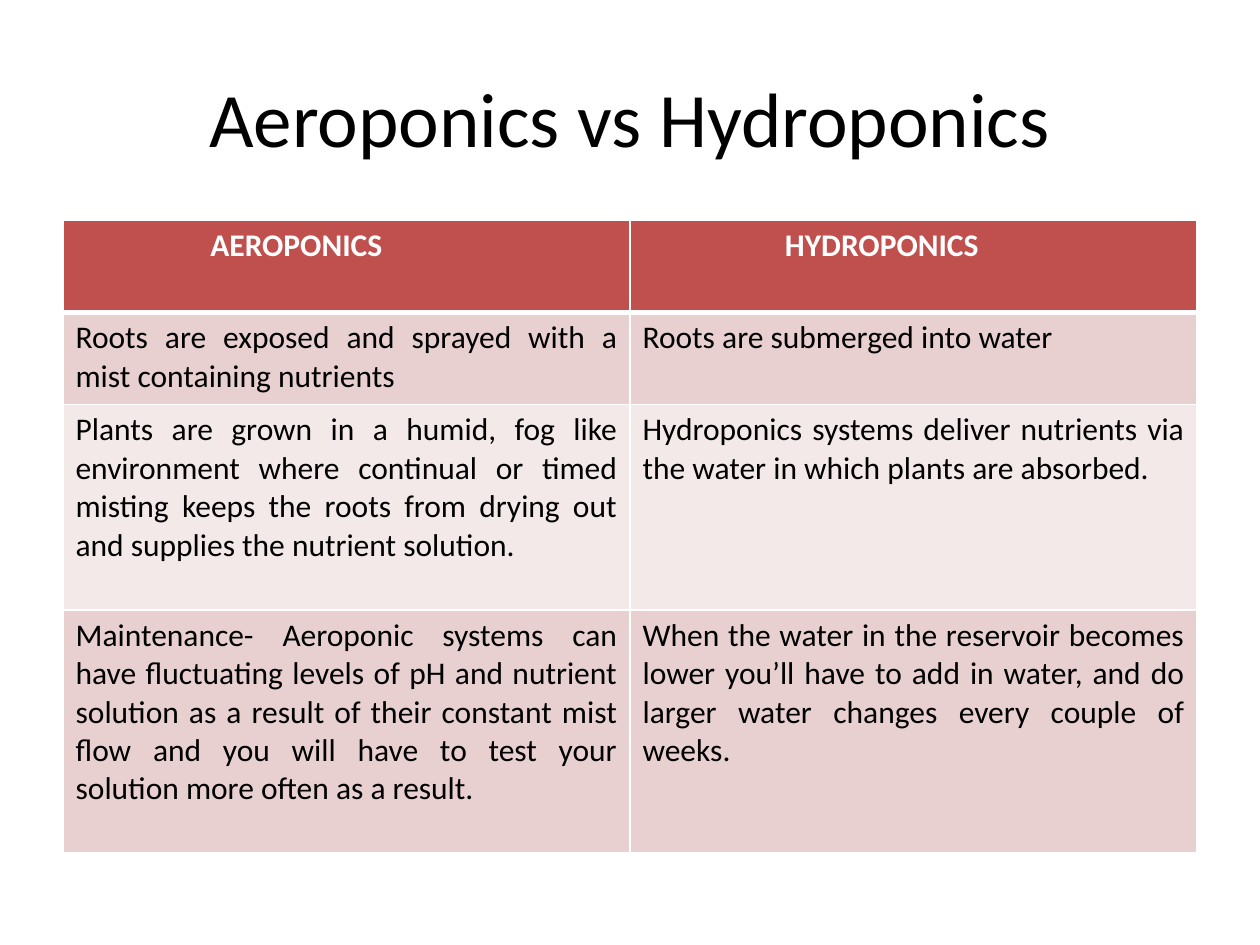
from lxml.etree import SubElement
from pptx import Presentation
from pptx.dml.color import RGBColor
from pptx.enum.text import MSO_ANCHOR, PP_ALIGN
from pptx.oxml.ns import qn
from pptx.util import Inches, Pt

# Content
TITLE = "Aeroponics vs Hydroponics"
ROWS = [
    ("AEROPONICS", "HYDROPONICS"),
    ("Roots are exposed and sprayed with a mist containing nutrients",
     "Roots are submerged into water"),
    ("Plants are grown in a humid, fog like environment where continual or "
     "timed misting keeps the roots from drying out and supplies the nutrient "
     "solution.",
     "Hydroponics systems deliver nutrients via the water in which plants are "
     "absorbed."),
    ("Maintenance- Aeroponic systems can have fluctuating levels of pH and "
     "nutrient solution as a result of their constant mist flow and you will "
     "have to test your solution more often as a result.",
     "When the water in the reservoir becomes lower you’ll have to add in "
     "water, and do larger water changes every couple of weeks."),
]
ROW_HEIGHTS = [0.73, 0.73, 1.63, 1.93]
HEADING_MARGINS = [1.17, 1.23]
COLUMN_WIDTH = 4.5
FONT = "Calibri"
COLORS = {"text": "000000", "white": "FFFFFF", "header": "C0504D",
          "dark_band": "E8D0D0", "light_band": "F4E9E9"}


def color(name):
    return RGBColor.from_string(COLORS[name])


def write(paragraph, text, size, color_name, alignment, bold=False):
    paragraph.alignment = alignment
    span = paragraph.add_run()
    span.text = text
    span.font.name = FONT
    span.font.size = Pt(size)
    span.font.bold = bold
    span.font.color.rgb = color(color_name)


def add_borders(cell, top, bottom):
    """Draw white cell borders, which come before the fill in the XML."""
    properties = cell._tc.get_or_add_tcPr()
    widths = {"a:lnL": 1, "a:lnR": 1, "a:lnT": top, "a:lnB": bottom}
    for position, (tag, width) in enumerate(widths.items()):
        line = SubElement(properties, qn(tag), w=str(Pt(width)))
        fill = SubElement(line, qn("a:solidFill"))
        SubElement(fill, qn("a:srgbClr"), val=COLORS["white"])
        properties.insert(position, line)


deck = Presentation()
deck.slide_width, deck.slide_height = Inches(10), Inches(7.5)
page = deck.slides.add_slide(deck.slide_layouts[5])

# Title
title = page.shapes.title
title.left, title.top = Inches(0.5), Inches(0.3)
title.width, title.height = Inches(9), Inches(1.25)
title.text_frame.vertical_anchor = MSO_ANCHOR.MIDDLE
write(title.text_frame.paragraphs[0], TITLE, 44, "text", PP_ALIGN.CENTER)

# Comparison table
table = page.shapes.add_table(
    len(ROWS), 2, Inches(0.5), Inches(1.75),
    Inches(2 * COLUMN_WIDTH), Inches(sum(ROW_HEIGHTS))).table
for column in table.columns:
    column.width = Inches(COLUMN_WIDTH)

for row_index, (texts, height) in enumerate(zip(ROWS, ROW_HEIGHTS)):
    table.rows[row_index].height = Inches(height)
    is_header = row_index == 0
    band = "header" if is_header else ("light_band", "dark_band")[row_index % 2]
    for column_index, text in enumerate(texts):
        cell = table.cell(row_index, column_index)
        cell.fill.solid()
        cell.fill.fore_color.rgb = color(band)
        add_borders(cell, top=3 if row_index == 1 else 1,
                    bottom=3 if is_header else 1)
        paragraph = cell.text_frame.paragraphs[0]
        if is_header:
            cell.margin_left = Inches(HEADING_MARGINS[column_index])
            write(paragraph, text, 18, "white", PP_ALIGN.LEFT, bold=True)
        else:
            write(paragraph, text, 18, "text", PP_ALIGN.JUSTIFY)

deck.save("out.pptx")
